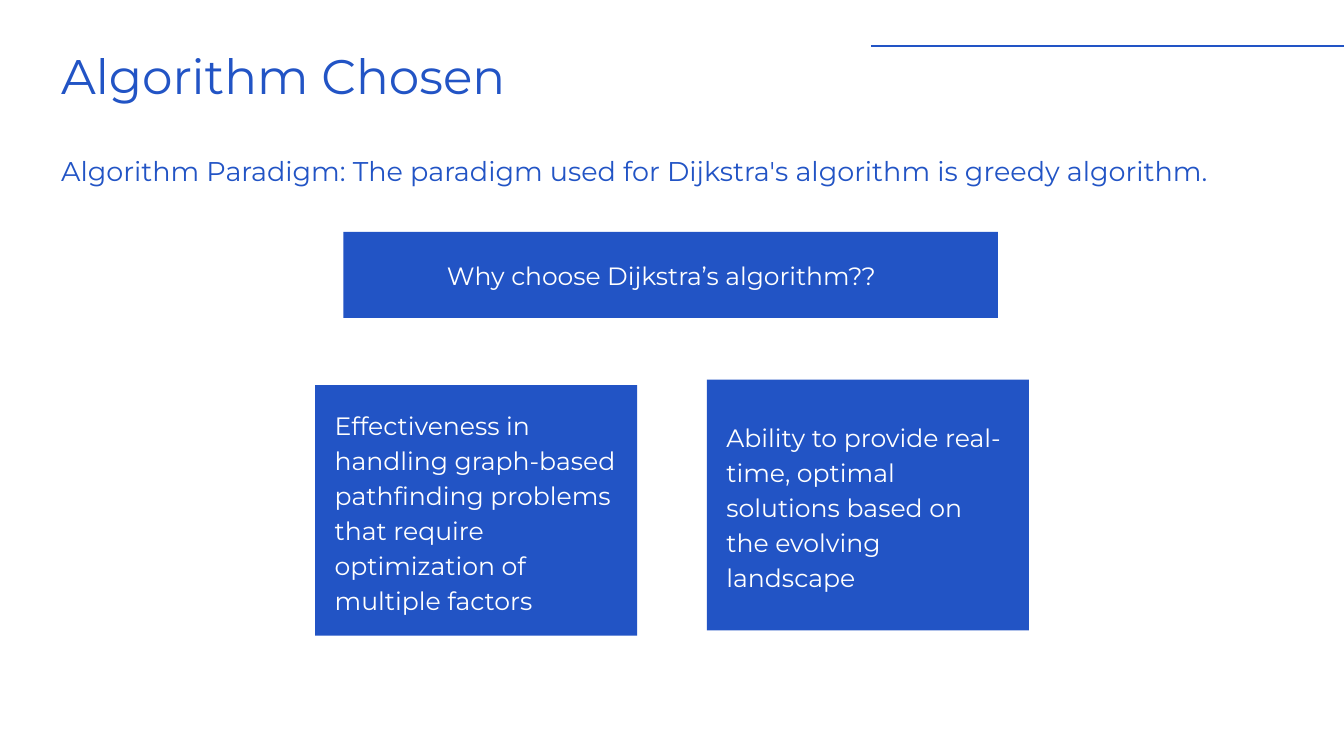
"""Build the slide on the chosen algorithm and the reasons for it."""
from lxml import etree
from pptx import Presentation
from pptx import util as u
from pptx.dml.color import RGBColor
from pptx.enum import shapes, text
from pptx.oxml.ns import qn

FONT = "Montserrat"
COLORS = {"blue": "2254C5", "white": "FFFFFF"}
CARD_W, CARD_H = 4.79, 3.73
CARDS = [
    (4.69, 5.73, 0.3, 3.06,
     "Effectiveness in handling graph-based pathfinding problems "
     "that require optimization of multiple factors"),
    (10.52, 5.65, 0.56, 2.55,
     "Ability to provide real-time, optimal solutions "
     "based on the evolving landscape"),
]


def rgb(name):
    return RGBColor.from_string(COLORS[name])


def inches(*values):
    return [u.Inches(v) for v in values]


def write(sp, content, size, spacing, color, align=text.PP_ALIGN.LEFT):
    tf = sp.text_frame
    tf.text = content
    tf.word_wrap = True
    tf.auto_size = text.MSO_AUTO_SIZE.NONE
    tf.vertical_anchor = text.MSO_ANCHOR.TOP
    tf.margin_left = tf.margin_top = tf.margin_right = tf.margin_bottom = 0
    p = tf.paragraphs[0]
    p.alignment = align
    p.line_spacing = u.Pt(spacing)
    p.space_before = u.Pt(0)
    r = p.runs[0]
    r.font.name = FONT
    r.font.size = u.Pt(size)
    r.font.color.rgb = rgb(color)


def add_title(s, content, box):
    sp = s.shapes.title
    sp.left, sp.top, sp.width, sp.height = inches(*box)
    write(sp, content, 52, 51, "blue")


def add_text(s, content, box, *style):
    write(s.shapes.add_textbox(*inches(*box)), content, *style)


def add_panel(s, box):
    sp = s.shapes.add_shape(shapes.MSO_SHAPE.RECTANGLE, *inches(*box))
    sp.shadow.inherit = False
    sp.fill.solid()
    sp.fill.fore_color.rgb = rgb("blue")
    sp.line.fill.background()


def add_rule(s, ends):
    line = s.shapes.add_connector(shapes.MSO_CONNECTOR.STRAIGHT, *inches(*ends))
    line.line.color.rgb = rgb("blue")
    line.line.width = u.Pt(2.25)
    etree.SubElement(line._element.spPr, qn("a:effectLst"))


def add_card(s, left, top, offset, height, content):
    add_panel(s, (left, top, CARD_W, CARD_H))
    box = (left + 0.29, top + offset, CARD_W - 0.58, height)
    add_text(s, content, box, 26.9, 37.6, "white")


def main():
    prs = Presentation()
    prs.slide_width, prs.slide_height = inches(20, 11.25)
    s = prs.slides.add_slide(prs.slide_layouts[5])
    justify = text.PP_ALIGN.JUSTIFY

    add_rule(s, (12.96, 0.69, 20, 0.69))
    add_title(s, "Algorithm Chosen", (0.91, 0.84, 10.94, 0.72))
    add_text(s, "Algorithm Paradigm: The paradigm used for Dijkstra's "
             "algorithm is greedy algorithm.",
             (0.91, 2.22, 17.58, 0.53), 29, 40.6, "blue", justify)
    add_panel(s, (5.11, 3.45, 9.74, 1.28))
    add_text(s, "Why choose Dijkstra’s algorithm??",
             (6.65, 3.81, 8.46, 0.5), 26.8, 37.5, "white", justify)
    for card in CARDS:
        add_card(s, *card)

    prs.save("out.pptx")


if __name__ == "__main__":
    main()
